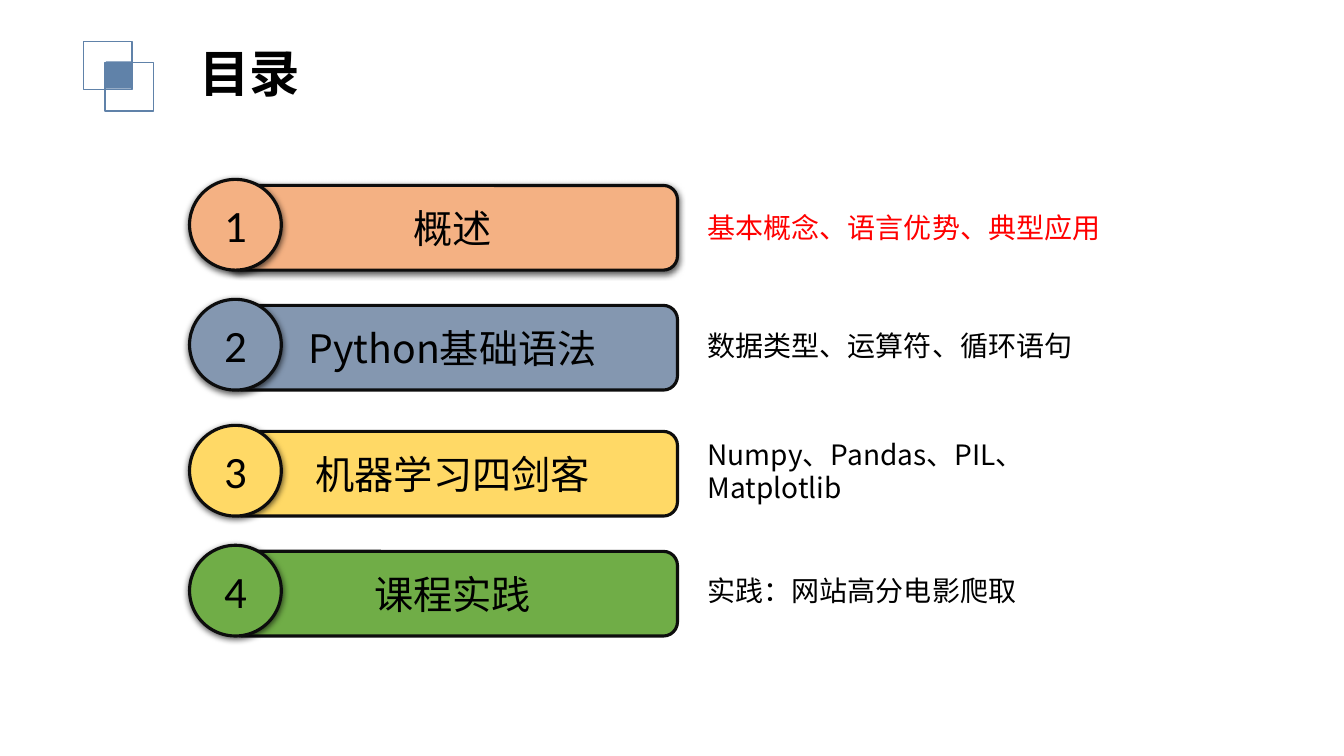
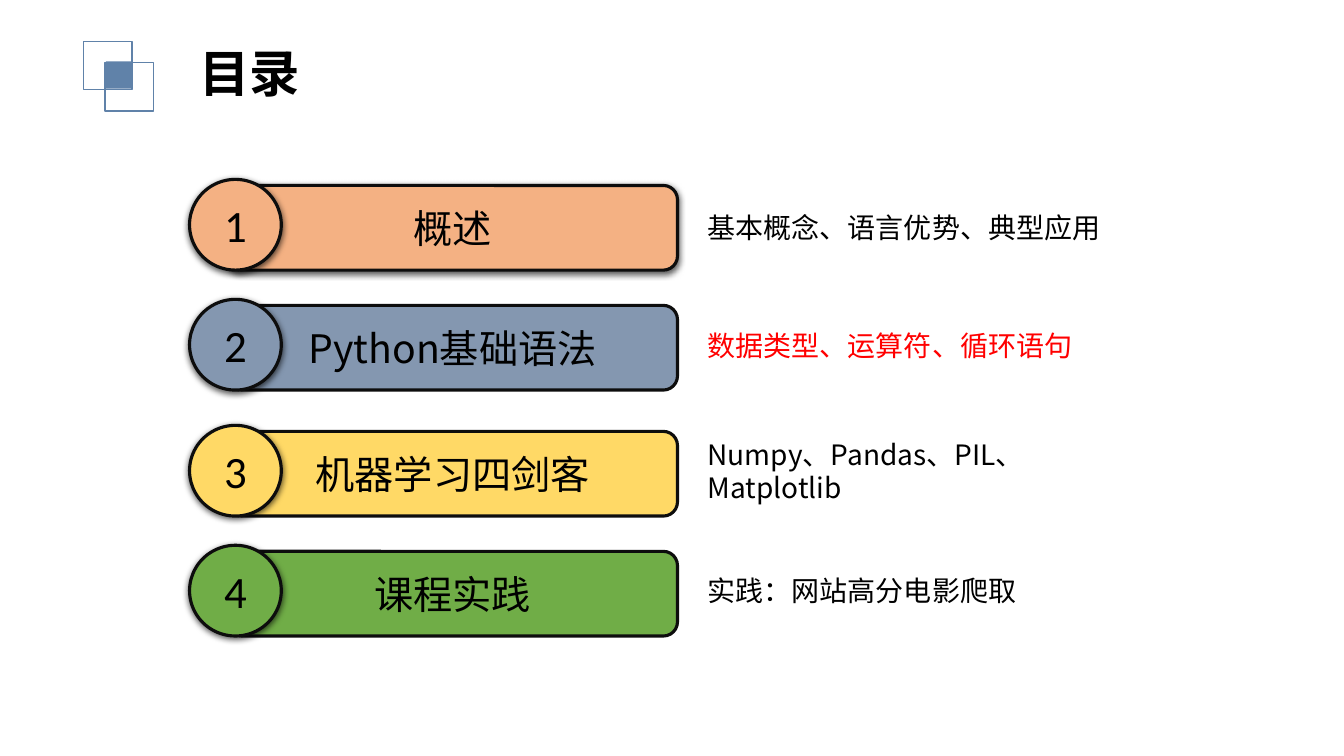
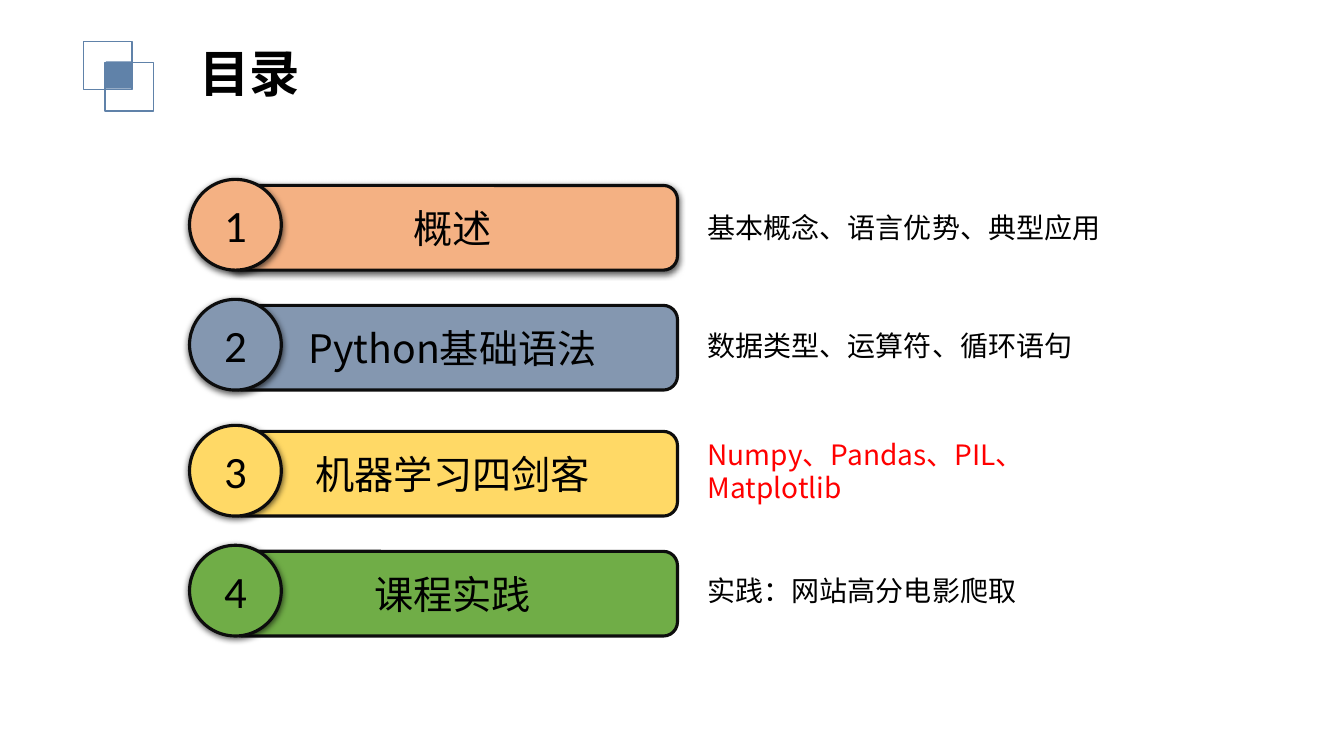
from lxml.etree import SubElement
from pptx import Presentation
from pptx.dml.color import RGBColor
from pptx.enum.lang import MSO_LANGUAGE_ID
from pptx.enum.shapes import MSO_SHAPE
from pptx.enum.text import MSO_ANCHOR, MSO_AUTO_SIZE, PP_ALIGN
from pptx.oxml.ns import qn
from pptx.util import Pt

PX = 9144  # 100 px to the inch
PAGE_SIZE = (1333, 750)

BLACK = RGBColor(0x00, 0x00, 0x00)
RED = RGBColor(0xFF, 0x00, 0x00)
OUTLINE = RGBColor(0x0D, 0x0D, 0x0D)
STEEL = RGBColor(0x60, 0x82, 0xA9)
ORANGE = RGBColor(0xF4, 0xB1, 0x83)
SLATE = RGBColor(0x84, 0x97, 0xB0)
YELLOW = RGBColor(0xFF, 0xD9, 0x66)
GREEN = RGBColor(0x70, 0xAD, 0x47)

CHINESE_FONT = "Noto Sans CJK SC"
TITLE_FORMAT = {"name": CHINESE_FONT, "size": Pt(36), "bold": True}
LABEL_FORMAT = {"name": CHINESE_FONT, "size": Pt(28)}
NUMBER_FORMAT = {"name": "Calibri", "size": Pt(32)}
DETAIL_FORMAT = {"name": CHINESE_FONT, "size": Pt(20)}

TITLE = "目录"
# label, detail, colour, circle top, detail top, detail height
CHAPTERS = [
    ("概述", "基本概念、语言优势、典型应用", ORANGE, 178, 204, 44),
    ("Python基础语法", "数据类型、运算符、循环语句", SLATE, 297, 321, 44),
    ("机器学习四剑客", "Numpy、Pandas、PIL、 Matplotlib", YELLOW, 422, 429, 77),
    ("课程实践", "实践：网站高分电影爬取", GREEN, 541, 564, 44),
]
HIGHLIGHTED_CHAPTERS = [1, 2, 3]

# left, top, width, height, fill, line
MOTIF = [
    (83, 41, 48, 48, None, STEEL),
    (104, 62, 48, 48, None, STEEL),
    (105, 61, 25, 27, STEEL, None),
]


def scaled(*lengths):
    return [length * PX for length in lengths]


def write(shape, text, text_format, color=BLACK):
    para = shape.text_frame.paragraphs[0]
    span = para.add_run()
    span.text = text
    span.font.language_id = MSO_LANGUAGE_ID.SIMPLIFIED_CHINESE
    for name, value in text_format.items():
        setattr(span.font, name, value)
    span.font.color.rgb = color
    east_asian = SubElement(span.font._element, qn("a:ea"))
    east_asian.set("typeface", text_format["name"])
    return para


def add_text(page, area, text, text_format, color=BLACK):
    box = page.shapes.add_textbox(*scaled(*area))
    box.text_frame.word_wrap = True
    box.text_frame.auto_size = MSO_AUTO_SIZE.SHAPE_TO_FIT_TEXT
    write(box, text, text_format, color)


def add_figure(page, kind, area, fill=None, line=None, line_width=1):
    figure = page.shapes.add_shape(kind, *scaled(*area))
    figure.shadow.inherit = False
    if fill is None:
        figure.fill.background()
    else:
        figure.fill.solid()
        figure.fill.fore_color.rgb = fill
    if line is None:
        figure.line.fill.background()
    else:
        figure.line.color.rgb = line
        figure.line.width = Pt(line_width)
    return figure


def add_shadow(figure):
    effects = figure._element.spPr.find(qn("a:effectLst"))
    shadow = SubElement(effects, qn("a:outerShdw"), blurRad=str(Pt(4.5)),
                        dist=str(Pt(1.5)), dir="5400000", rotWithShape="0")
    color = SubElement(shadow, qn("a:srgbClr"), val=str(BLACK))
    SubElement(color, qn("a:alpha"), val="63000")


def add_badge(page, kind, area, color, text, text_format, shadowed):
    badge = add_figure(page, kind, area, color, OUTLINE, 2.25)
    if shadowed:
        add_shadow(badge)
    badge.text_frame.vertical_anchor = MSO_ANCHOR.MIDDLE
    write(badge, text, text_format).alignment = PP_ALIGN.CENTER


def add_agenda(deck, highlighted):
    page = deck.slides.add_slide(deck.slide_layouts[6])
    for *area, fill, line in MOTIF:
        add_figure(page, MSO_SHAPE.RECTANGLE, area, fill, line)
    add_text(page, (188, 37, 127, 71), TITLE, TITLE_FORMAT)
    for number, chapter in enumerate(CHAPTERS, 1):
        label, detail, color, top, detail_top, detail_height = chapter
        add_badge(page, MSO_SHAPE.ROUNDED_RECTANGLE, (226, top + 6, 446, 84),
                  color, label, LABEL_FORMAT, shadowed=number == 1)
        add_badge(page, MSO_SHAPE.OVAL, (188, top, 91, 90),
                  color, str(number), NUMBER_FORMAT, shadowed=True)
        add_text(page, (692, detail_top, 432, detail_height), detail,
                 DETAIL_FORMAT, RED if number == highlighted else BLACK)


def main():
    deck = Presentation()
    deck.slide_width, deck.slide_height = scaled(*PAGE_SIZE)
    for highlighted in HIGHLIGHTED_CHAPTERS:
        add_agenda(deck, highlighted)
    deck.save("out.pptx")


if __name__ == "__main__":
    main()
